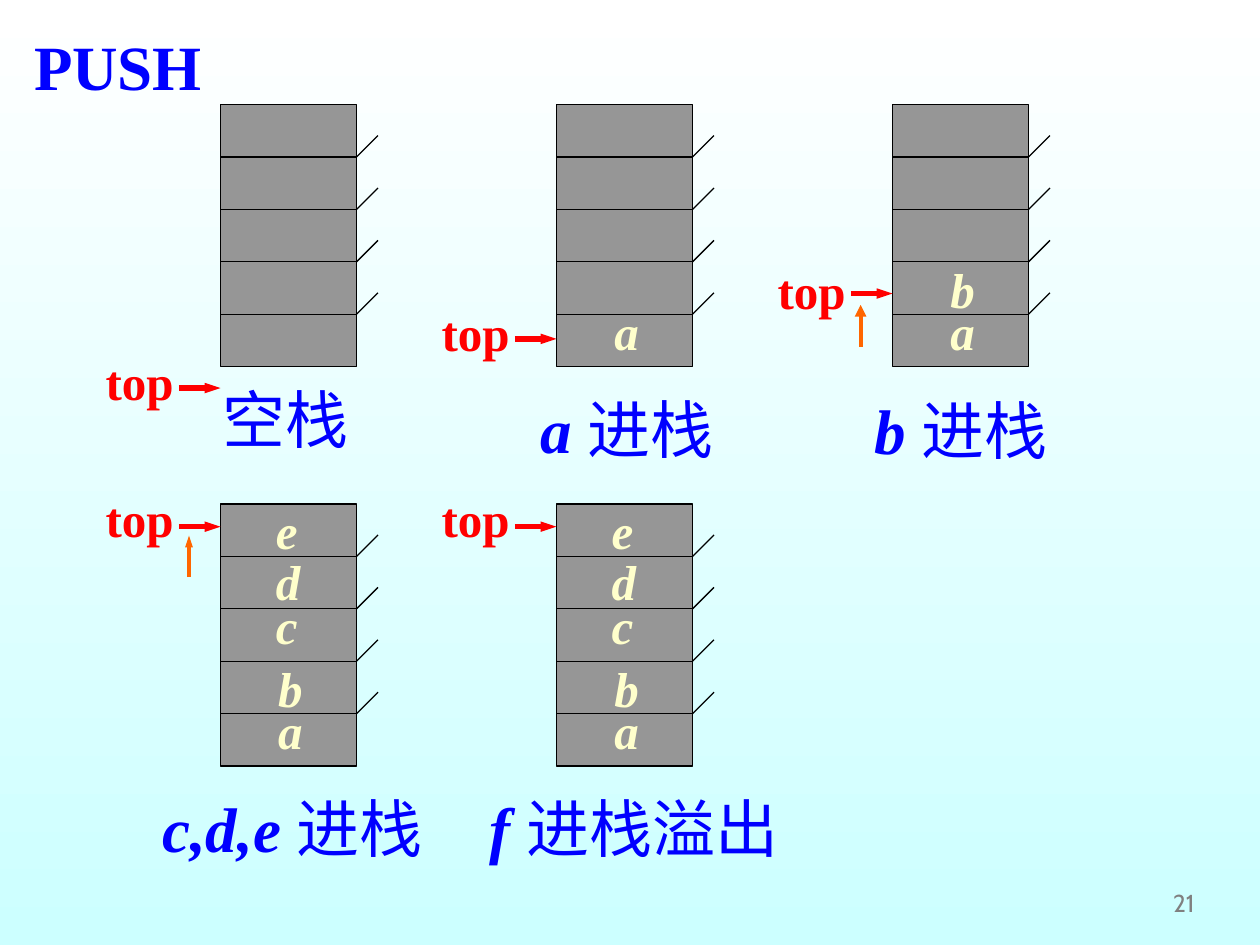
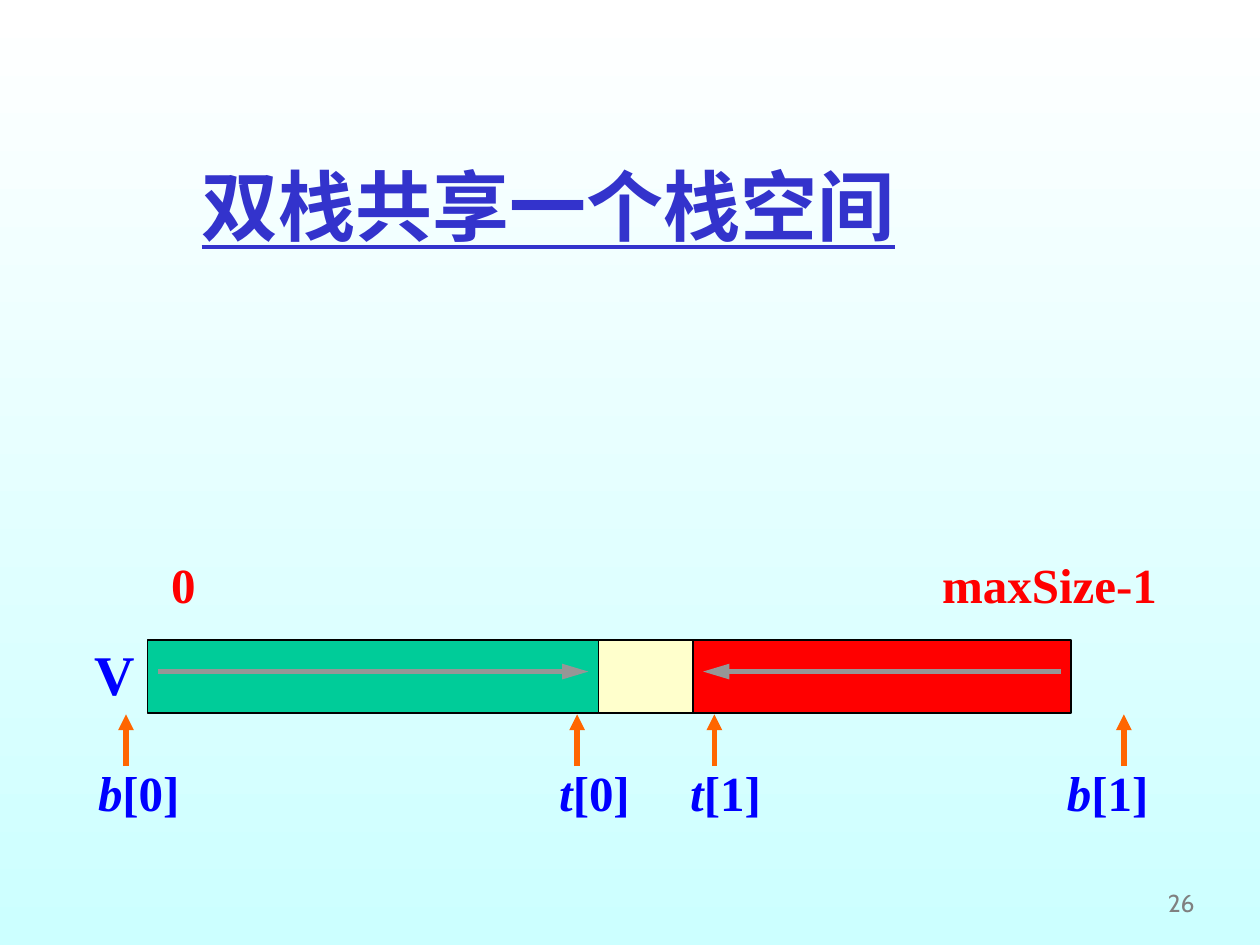
"""Build two slides on pushing to a stack and on two stacks sharing one space."""
from dataclasses import dataclass
from typing import NamedTuple

from lxml import etree
from pptx import Presentation
from pptx.dml.color import RGBColor
from pptx.enum.shapes import MSO_CONNECTOR, MSO_SHAPE
from pptx.enum.text import MSO_ANCHOR, MSO_AUTO_SIZE, PP_ALIGN
from pptx.oxml.ns import qn
from pptx.util import Inches, Pt

STRAIGHT = MSO_CONNECTOR.STRAIGHT
RECTANGLE = MSO_SHAPE.RECTANGLE
TOP, BOTTOM = MSO_ANCHOR.TOP, MSO_ANCHOR.BOTTOM
NO_FIT, GROW = MSO_AUTO_SIZE.NONE, MSO_AUTO_SIZE.SHAPE_TO_FIT_TEXT
LEFT, RIGHT = PP_ALIGN.LEFT, PP_ALIGN.RIGHT


@dataclass(frozen=True)
class Theme:
    """Colours, fonts and type sizes of the deck."""
    sky_top: str = "FFFFFF"
    sky_bottom: str = "CCFFFF"
    blue: str = "0000FF"
    indigo: str = "3333CC"
    red: str = "FF0000"
    cream: str = "FFFFCC"
    green: str = "00CC99"
    gray: str = "969696"
    orange: str = "FF6600"
    black: str = "000000"
    page: str = "808080"
    serif: str = "Times New Roman"
    page_font: str = "Cabin"
    heading: int = 44
    caption: int = 36
    array_name: int = 32
    label: int = 28
    page_size: int = 14
    thin: float = 0.75
    medium: float = 2.25
    thick: float = 3


THEME = Theme()


class Box(NamedTuple):
    """Place of an element in inches."""
    left: float
    top: float
    width: float
    height: float

    def lengths(self) -> list:
        """Return the four values as lengths."""
        return [Inches(value) for value in self]


class Style(NamedTuple):
    """Look of a text run."""
    size: int
    color: str
    bold: bool = True
    italic: bool = False
    underline: bool = False
    font: str = THEME.serif


class Stroke(NamedTuple):
    """Look of a line and of its arrowhead."""
    color: str
    width: float
    head_width: str = "med"
    head_length: str = "med"


class Stack(NamedTuple):
    """One state of the stack with its top pointer and caption."""
    column: int
    top: float
    pushed: str
    label_top: float
    arrow_y: float
    caption: Box
    names: str
    action: str


class Segment(NamedTuple):
    """A part of the shared array."""
    left: float
    width: float
    color: str


TOP_LABEL = Style(THEME.label, THEME.red)
ITEM = Style(THEME.label, THEME.cream, italic=True)
CAPTION = Style(THEME.caption, THEME.blue, bold=False)
CAPTION_NAMES = Style(THEME.caption, THEME.blue, italic=True)
PUSH_TITLE = Style(THEME.caption, THEME.blue)
SHARED_TITLE = Style(THEME.heading, THEME.indigo, underline=True)
ARRAY_NAME = Style(THEME.array_name, THEME.blue)
INDEX = Style(THEME.label, THEME.blue)
INDEX_NAME = Style(THEME.label, THEME.blue, italic=True)
PAGE = Style(THEME.page_size, THEME.page, bold=False, font=THEME.page_font)

OUTLINE = Stroke(THEME.black, THEME.thin)
POINTER = Stroke(THEME.red, THEME.thick, head_width="sm")
STEP_UP = Stroke(THEME.orange, THEME.medium)
NARROW_STEP_UP = Stroke(THEME.orange, THEME.medium, head_width="sm")
INDEX_ARROW = Stroke(THEME.orange, THEME.thick)
GROWTH = Stroke(THEME.gray, THEME.thick, head_length="lg")

STACK_LEFT, STACK_PITCH = 1.75, 8 / 3
STACK_WIDTH, STACK_HEIGHT, CELLS = 1.08, 2.08, 5
TICK = 0.17
ITEM_OFFSETS = {"a": (0.36, 1.51), "b": (0.36, 1.18), "c": (0.34, 0.68),
                "d": (0.34, 0.33), "e": (0.34, -0.08)}
STACKS = [
    Stack(0, 0.83, "", 2.74, 3.08, Box(1.67, 2.97, 1.4, 0.7), "", "空栈"),
    Stack(1, 0.83, "a", 2.35, 2.69, Box(4.19, 3.05, 1.9, 0.7), "a ", "进栈"),
    Stack(2, 0.83, "ab", 2.02, 2.33, Box(6.84, 3.06, 1.9, 0.7), "b ", "进栈"),
    Stack(0, 4, "abcde", 3.83, 4.18, Box(1.19, 6.22, 2.6, 0.7), "c,d,e ", "进栈"),
    Stack(1, 4, "abcde", 3.83, 4.18, Box(3.79, 6.22, 2.8, 0.7), "f ", "进栈溢出"),
]
SEGMENTS = [Segment(1.17, 3.58, THEME.green), Segment(4.75, 0.75, THEME.cream),
            Segment(5.5, 3, THEME.red)]


def add_run(paragraph, text: str, style: Style) -> None:
    """Append a styled run to a paragraph."""
    run = paragraph.add_run()
    run.text = text
    font = run.font
    font.name, font.size = style.font, Pt(style.size)
    font.bold, font.italic, font.underline = style.bold, style.italic, style.underline
    font.color.rgb = RGBColor.from_string(style.color)


def add_text(shapes, box: Box, *runs: tuple, wrap: bool = False):
    """Add a text box and return its paragraph."""
    frame = shapes.add_textbox(*box.lengths()).text_frame
    frame.word_wrap = wrap
    frame.auto_size = NO_FIT if wrap else GROW
    paragraph = frame.paragraphs[0]
    for text, style in runs:
        add_run(paragraph, text, style)
    return paragraph


def set_tabs(paragraph, *stops: float) -> None:
    """Give a paragraph left tab stops."""
    tabs = etree.SubElement(paragraph._p.get_or_add_pPr(), qn("a:tabLst"))
    for stop in stops:
        etree.SubElement(tabs, qn("a:tab"), pos=str(Inches(stop)), algn="l")


def add_line(shapes, start: tuple, end: tuple, stroke: Stroke, arrow: bool = False) -> None:
    """Draw a straight line, with an arrowhead at its end if wanted."""
    points = [Inches(value) for value in (*start, *end)]
    connector = shapes.add_connector(STRAIGHT, *points)
    connector.line.color.rgb = RGBColor.from_string(stroke.color)
    connector.line.width = Pt(stroke.width)
    if arrow:
        etree.SubElement(connector.line._get_or_add_ln(), qn("a:tailEnd"), type="triangle",
                         w=stroke.head_width, len=stroke.head_length)
    etree.SubElement(connector._element.spPr, qn("a:effectLst"))


def add_block(shapes, box: Box, color: str) -> None:
    """Draw an outlined rectangle."""
    block = shapes.add_shape(RECTANGLE, *box.lengths())
    block.shadow.inherit = False
    block.fill.solid()
    block.fill.fore_color.rgb = RGBColor.from_string(color)
    block.line.color.rgb = RGBColor.from_string(OUTLINE.color)
    block.line.width = Pt(OUTLINE.width)


def add_page(prs, number: str, title_box: Box, *title_runs: tuple):
    """Add a slide with its title and page number, and return it."""
    slide = prs.slides.add_slide(prs.slide_layouts.get_by_name("Title Only"))
    title = slide.shapes.title
    title.left, title.top, title.width, title.height = title_box.lengths()
    frame = title.text_frame
    frame.vertical_anchor, frame.auto_size = TOP, NO_FIT
    heading = frame.paragraphs[0]
    heading.alignment = LEFT
    for text, style in title_runs:
        add_run(heading, text, style)
    footer = slide.shapes.add_textbox(*Box(7.5, 6.83, 2.08, 0.5).lengths()).text_frame
    footer.word_wrap, footer.vertical_anchor = True, BOTTOM
    footer.paragraphs[0].alignment = RIGHT
    add_run(footer.paragraphs[0], number, PAGE)
    return slide


def draw_stack(shapes, stack: Stack) -> None:
    """Draw a stack with its cells, items, top pointer and caption."""
    left = STACK_LEFT + stack.column * STACK_PITCH
    right = left + STACK_WIDTH
    cells = shapes.add_group_shape().shapes
    add_block(cells, Box(left, stack.top, STACK_WIDTH, STACK_HEIGHT), THEME.gray)
    for row in range(1, CELLS):
        y = stack.top + row * STACK_HEIGHT / CELLS
        add_line(cells, (left, y), (right, y), OUTLINE)
        add_line(cells, (right, y), (right + TICK, y - TICK), OUTLINE)
    for item in stack.pushed:
        dx, dy = ITEM_OFFSETS[item]
        add_text(cells, Box(left + dx, stack.top + dy, 0.39, 0.57), (item, ITEM))
    pointer = shapes.add_group_shape().shapes
    add_text(pointer, Box(left - 1.01, stack.label_top, 0.74, 0.57), ("top", TOP_LABEL))
    add_line(pointer, (left - 0.33, stack.arrow_y), (left, stack.arrow_y), POINTER, arrow=True)
    names = [(stack.names, CAPTION_NAMES)] if stack.names else []
    add_text(shapes, stack.caption, *names, (stack.action, CAPTION), wrap=True)


def build_push(prs) -> None:
    """Build the slide that shows items being pushed."""
    shapes = add_page(prs, "21", Box(0.17, 0.17, 1.8, 0.7), ("PUSH", PUSH_TITLE)).shapes
    for stack in STACKS:
        draw_stack(shapes, stack)
    for x, bottom, stroke in ((6.83, 2.75, STEP_UP), (1.5, 4.58, NARROW_STEP_UP)):
        add_line(shapes, (x, bottom), (x, bottom - 0.33), stroke, arrow=True)


def build_shared_space(prs) -> None:
    """Build the slide that shows two stacks in one array."""
    slide = add_page(prs, "26", Box(0.5, 1.17, 8.5, 0.87),
                     ("\t", ARRAY_NAME), ("双栈共享一个栈空间", SHARED_TITLE))
    shapes = slide.shapes
    heading = shapes.title.text_frame.paragraphs[0]
    heading.line_spacing = 1.05
    set_tabs(heading, 1)
    indexes = add_text(shapes, Box(0.68, 6, 8.7, 0.57),
                       ("b", INDEX_NAME), ("[0]\t", INDEX),
                       ("t", INDEX_NAME), ("[0]\t", INDEX),
                       ("t", INDEX_NAME), ("[1]\t", INDEX),
                       ("b", INDEX_NAME), ("[1]", INDEX), wrap=True)
    set_tabs(indexes, 3.66, 4.7, 7.69)
    for x in (1, 4.58, 5.67, 8.92):
        add_line(shapes, (x, 6.08), (x, 5.67), INDEX_ARROW, arrow=True)
    for segment in SEGMENTS:
        add_block(shapes, Box(segment.left, 5.08, segment.width, 0.58), segment.color)
    bounds = add_text(shapes, Box(1.26, 4.35, 8.2, 0.57),
                      ("0\tmaxSize-1", TOP_LABEL), wrap=True)
    set_tabs(bounds, 6.12)
    add_text(shapes, Box(0.65, 5.03, 0.52, 0.64), ("V", ARRAY_NAME))
    for start, end in ((1.25, 4.67), (8.42, 5.58)):
        add_line(shapes, (start, 5.33), (end, 5.33), GROWTH, arrow=True)


def main() -> None:
    """Build and save the deck."""
    prs = Presentation()
    prs.slide_width, prs.slide_height = Inches(10), Inches(7.5)
    sky = prs.slide_master.background.fill
    sky.gradient()
    sky.gradient_angle = 270
    for stop, color in zip(sky.gradient_stops, (THEME.sky_top, THEME.sky_bottom)):
        stop.color.rgb = RGBColor.from_string(color)
    build_push(prs)
    build_shared_space(prs)
    prs.save("out.pptx")


if __name__ == "__main__":
    main()
